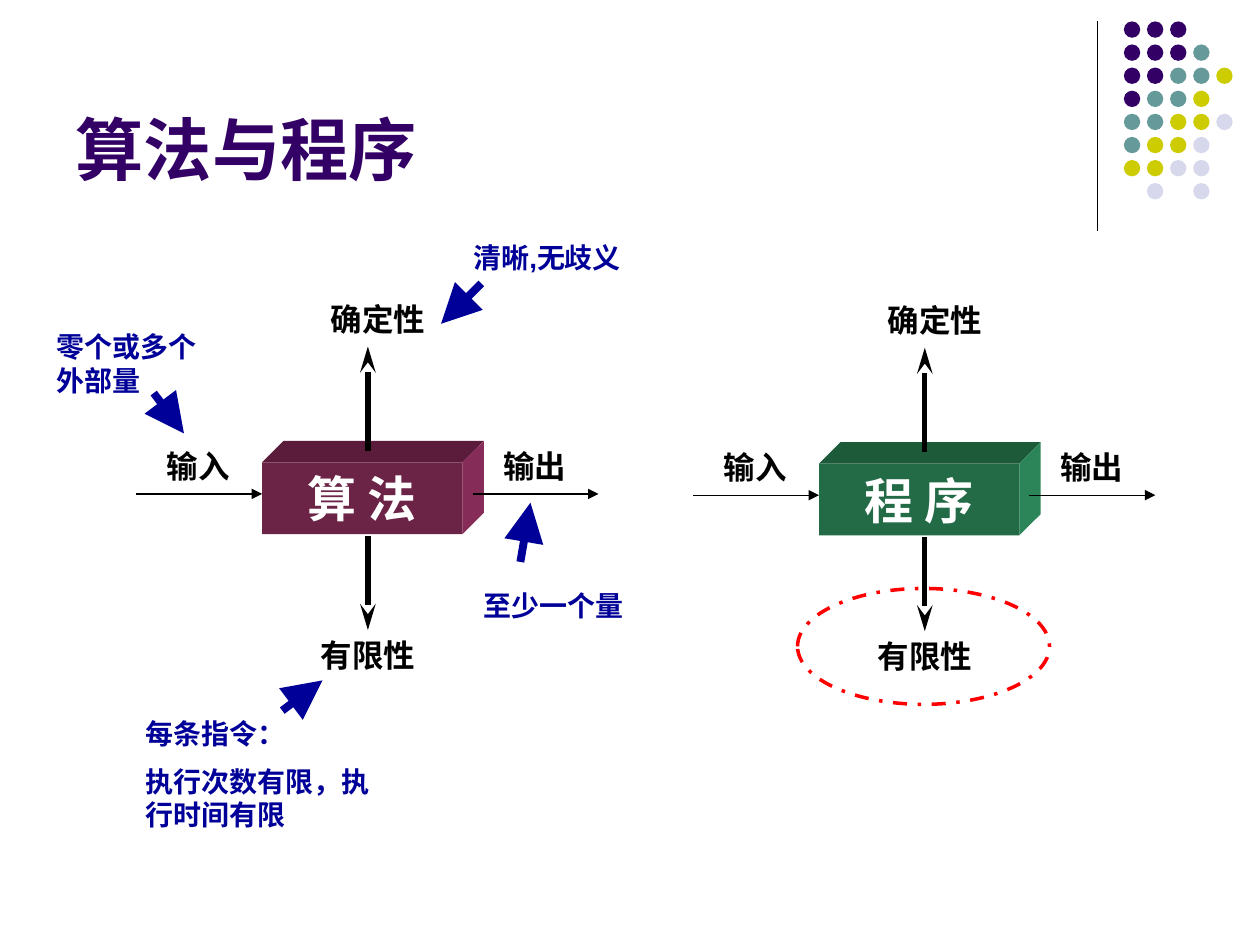
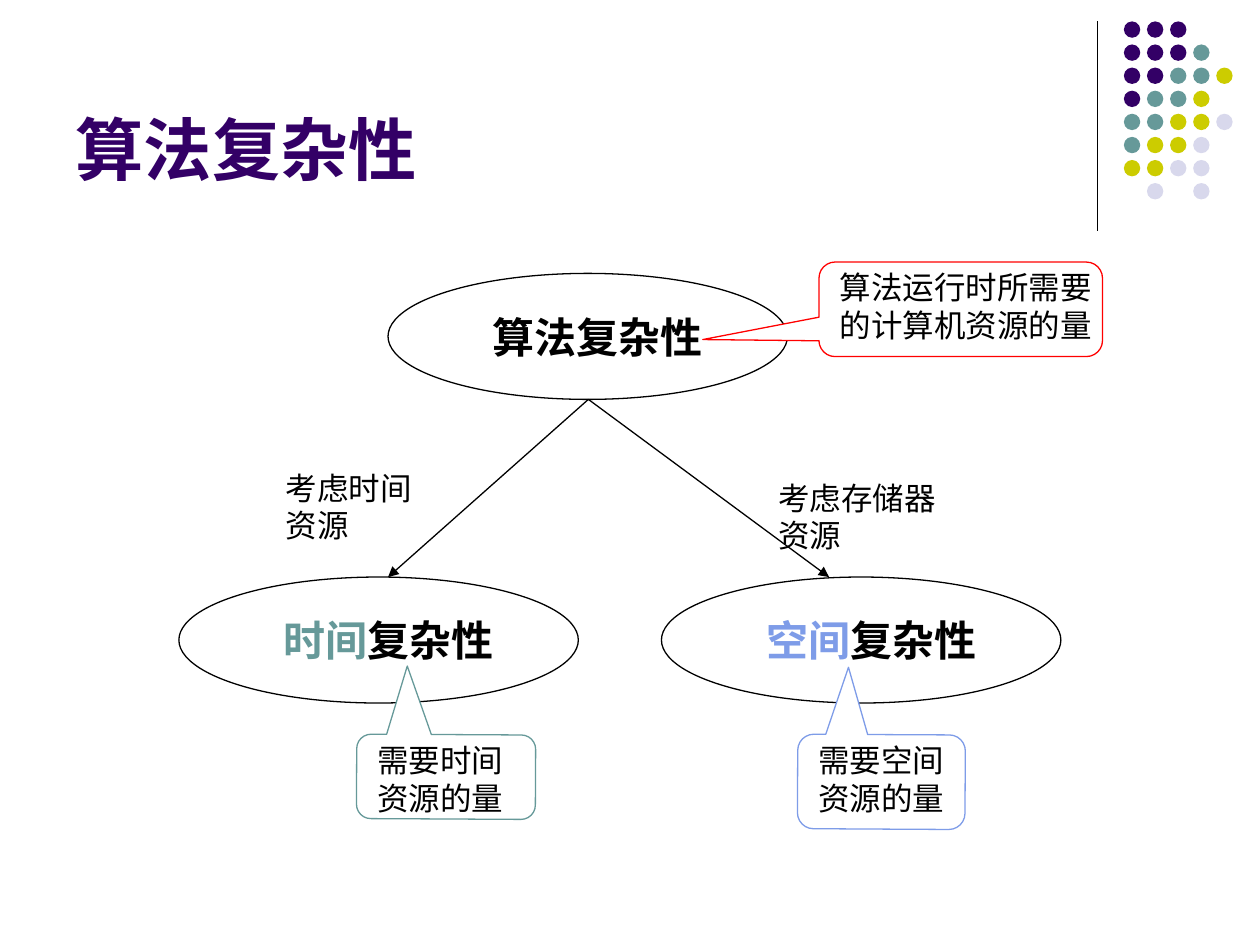
from pptx import Presentation
from pptx.dml.color import RGBColor
from pptx.enum.dml import MSO_LINE
from pptx.enum.shapes import MSO_CONNECTOR, MSO_SHAPE
from pptx.enum.text import MSO_ANCHOR, MSO_AUTO_SIZE, PP_ALIGN
from pptx.oxml.ns import qn
from pptx.util import Inches, Pt
from lxml.etree import SubElement

rgb = RGBColor.from_string
FONT = "Arial"
PURPLE, TEAL, OLIVE, LILAC = "330066", "669999", "CCCC00", "D8D8EC"
BLACK, WHITE, RED, NAVY, BLUE = "000000", "FFFFFF", "FF0000", "000099", "7E9CE8"


def add_text(s, x, y, w, h, paragraphs, size, color=BLACK, bold=True, align=PP_ALIGN.CENTER):
    tf = s.shapes.add_textbox(Inches(x), Inches(y), Inches(w), Inches(h)).text_frame
    tf.word_wrap = True
    for i, runs in enumerate(paragraphs):
        p = tf.add_paragraph() if i else tf.paragraphs[0]
        p.alignment = align
        p.space_before = Pt(size / 2 if i else 0)
        for text, run_color in runs:
            r = p.add_run()
            r.text = text
            r.font.name, r.font.size, r.font.bold = FONT, Pt(size), bold
            r.font.color.rgb = rgb(run_color or color)


def add_line(s, x1, y1, x2, y2, color=BLACK, width=0.75, head="triangle", head_w="med", head_len="med"):
    c = s.shapes.add_connector(MSO_CONNECTOR.STRAIGHT, Inches(x1), Inches(y1), Inches(x2), Inches(y2))
    c.line.color.rgb = rgb(color)
    c.line.width = Pt(width)
    if head:
        SubElement(c.line._get_or_add_ln(), qn("a:tailEnd"), type=head, w=head_w, len=head_len)
    SubElement(c.element.spPr, qn("a:effectLst"))
    return c


prs = Presentation()
prs.slide_width, prs.slide_height = Inches(10), Inches(7.5)
layout = prs.slide_layouts[5]
for ph in list(layout.placeholders):
    if ph.placeholder_format.idx:
        ph.element.getparent().remove(ph.element)

slides = []
for title in ("算法与程序", "算法复杂性"):
    s = prs.slides.add_slide(layout)
    sp = s.shapes.title
    sp.left, sp.top, sp.width, sp.height = Inches(0.5), Inches(0.13), Inches(8.25), Inches(1.42)
    tf = sp.text_frame
    tf.text = title
    tf.auto_size = MSO_AUTO_SIZE.NONE
    tf.vertical_anchor = MSO_ANCHOR.BOTTOM
    p = tf.paragraphs[0]
    p.alignment = PP_ALIGN.LEFT
    r = p.runs[0]
    r.font.name, r.font.size, r.font.bold = FONT, Pt(39), True
    r.font.color.rgb = rgb(PURPLE)
    slides.append(s)
algorithm, complexity = slides

dot_colors = {"P": PURPLE, "T": TEAL, "O": OLIVE, "L": LILAC}
dot_rows = ["PPP", "PPPT", "PPTTO", "PTTO", "TTOOL", "TOOL", "OOLL", " L L"]
decoration = [add_line(algorithm, 8.71, 0.17, 8.71, 1.83, head=None)]
for row, keys in enumerate(dot_rows):
    for col, key in enumerate(keys):
        if key == " ":
            continue
        sp = algorithm.shapes.add_shape(
            MSO_SHAPE.OVAL, Inches(8.92 + col * 1.1 / 6), Inches(0.17 + row * 1.1 / 6), Inches(0.13), Inches(0.13))
        sp.shadow.inherit = False
        sp.fill.solid()
        sp.fill.fore_color.rgb = rgb(dot_colors[key])
        sp.line.fill.background()
        decoration.append(sp)
for sp in decoration:
    layout.shapes.element.append(sp.element)

s = algorithm
BOX_W, BOX_H, DEPTH = 1.59, 0.57, 0.17
boxes = [
    (2.08, 3.67, "算 法", "6B2346", "5A1C3A", "852C59"),
    (6.5, 3.68, "程 序", "236B47", "1C5A3A", "2C8559"),
]
for x, y, name, front, top, side in boxes:
    right, bottom = x + BOX_W, y + BOX_H
    top_face = [(x, y), (x + DEPTH, y - DEPTH), (right + DEPTH, y - DEPTH), (right, y)]
    side_face = [(right, y), (right + DEPTH, y - DEPTH), (right + DEPTH, bottom - DEPTH), (right, bottom)]
    front_face = [(x, y), (right, y), (right, bottom), (x, bottom)]
    for points, color in ((top_face, top), (side_face, side), (front_face, front)):
        if points is front_face:
            sp = s.shapes.add_shape(MSO_SHAPE.RECTANGLE, Inches(x), Inches(y), Inches(BOX_W), Inches(BOX_H))
        else:
            corners = [(Inches(px), Inches(py)) for px, py in points]
            fb = s.shapes.build_freeform(*corners[0])
            fb.add_line_segments(corners[1:])
            sp = fb.convert_to_shape()
        sp.shadow.inherit = False
        sp.fill.solid()
        sp.fill.fore_color.rgb = rgb(color)
        sp.line.fill.background()
    tf = sp.text_frame
    tf.text = name
    tf.vertical_anchor = MSO_ANCHOR.MIDDLE
    p = tf.paragraphs[0]
    p.alignment = PP_ALIGN.CENTER
    r = p.runs[0]
    r.font.name, r.font.size, r.font.bold = FONT, Pt(28), True
    r.font.color.rgb = rgb(WHITE)

    for dx, label in ((-1, "输入"), (1.67, "输出")):
        add_line(s, x + dx, y + 0.25, x + dx + 1, y + 0.25)
        add_text(s, x + dx + 0.08, y - 0.17, 0.83, 0.4, [[(label, None)]], 18)
    for start, end, text_x, text_y, label in (
            (-0.09, -0.92, 0.17, -1.34, "确定性"), (0.58, 1.33, 0.09, 1.33, "有限性")):
        add_line(s, x + 0.84, y + start, x + 0.84, y + end, width=3, head="stealth", head_len="lg")
        add_text(s, x + text_x, y + text_y, 1.5, 0.4, [[(label, None)]], 18)

sp = s.shapes.add_shape(MSO_SHAPE.OVAL, Inches(6.33), Inches(4.67), Inches(2), Inches(0.92))
sp.shadow.inherit = False
sp.fill.background()
sp.line.color.rgb = rgb(RED)
sp.line.width = Pt(2)
sp.line.dash_style = MSO_LINE.DASH_DOT

notes = [
    (0.35, 2.57, 1.5, 0.64, ["零个或多个外部量"], (1.22, 3.12, 1.46, 3.44)),
    (3.66, 1.86, 1.5, 0.37, ["清晰,无歧义"], (3.82, 2.25, 3.5, 2.57)),
    (1.06, 5.64, 2.05, 1.04, ["每条指令：", "执行次数有限，执行时间有限"], (2.24, 5.64, 2.56, 5.4)),
    (3.74, 4.62, 1.5, 0.37, ["至少一个量"], (4.13, 4.46, 4.21, 3.99)),
]
for x, y, w, h, lines, arrow in notes:
    add_text(s, x, y, w, h, [[(line, None)] for line in lines], 16, NAVY, align=PP_ALIGN.LEFT)
    add_line(s, *arrow, color=NAVY, width=4.5, head_w="lg", head_len="lg")

s = complexity
nodes = [
    (3.08, 2.17, [("算法复杂性", None)]),
    (1.42, 4.58, [("时间", TEAL), ("复杂性", None)]),
    (5.25, 4.58, [("空间", BLUE), ("复杂性", None)]),
]
for x, y, runs in nodes:
    sp = s.shapes.add_shape(MSO_SHAPE.OVAL, Inches(x), Inches(y), Inches(3.17), Inches(1))
    sp.shadow.inherit = False
    sp.fill.background()
    sp.line.color.rgb = rgb(BLACK)
    sp.line.width = Pt(0.75)
    add_text(s, x + 0.58, y + 0.25, 2.17, 0.5, [runs], 24)

branches = [
    (3.08, 2.17, 3.67, 1.42, "考虑时间资源"),
    (6.58, 6.08, 3.75, 1.67, "考虑存储器资源"),
]
for end_x, x, y, w, label in branches:
    add_line(s, 4.67, 3.17, end_x, 4.58)
    add_text(s, x, y, w, 0.7, [[(label, None)]], 18, bold=False, align=PP_ALIGN.LEFT)

callouts = [
    (2.83, 5.83, 1.42, 0.67, 180.3, (0.22, 1.31, 0.17), TEAL, 1.33, "需要时间资源的量"),
    (6.33, 5.83, 1.33, 0.75, 180.3, (0.2, 1.21, 0.17), BLUE, 1.33, "需要空间资源的量"),
    (6.5, 2.08, 2.25, 0.75, 0, (-0.91, 0.32, 0.17), RED, 2.33, "算法运行时所需要的计算机资源的量"),
]
for x, y, w, h, rotation, adjustments, color, text_w, label in callouts:
    sp = s.shapes.add_shape(MSO_SHAPE.ROUNDED_RECTANGULAR_CALLOUT, Inches(x), Inches(y), Inches(w), Inches(h))
    sp.rotation = rotation
    for i, value in enumerate(adjustments):
        sp.adjustments[i] = value
    sp.shadow.inherit = False
    sp.fill.solid()
    sp.fill.fore_color.rgb = rgb(WHITE)
    sp.line.color.rgb = rgb(color)
    sp.line.width = Pt(0.75)
    add_text(s, x, y, text_w, 0.7, [[(label, None)]], 18, bold=False)

prs.save("out.pptx")
